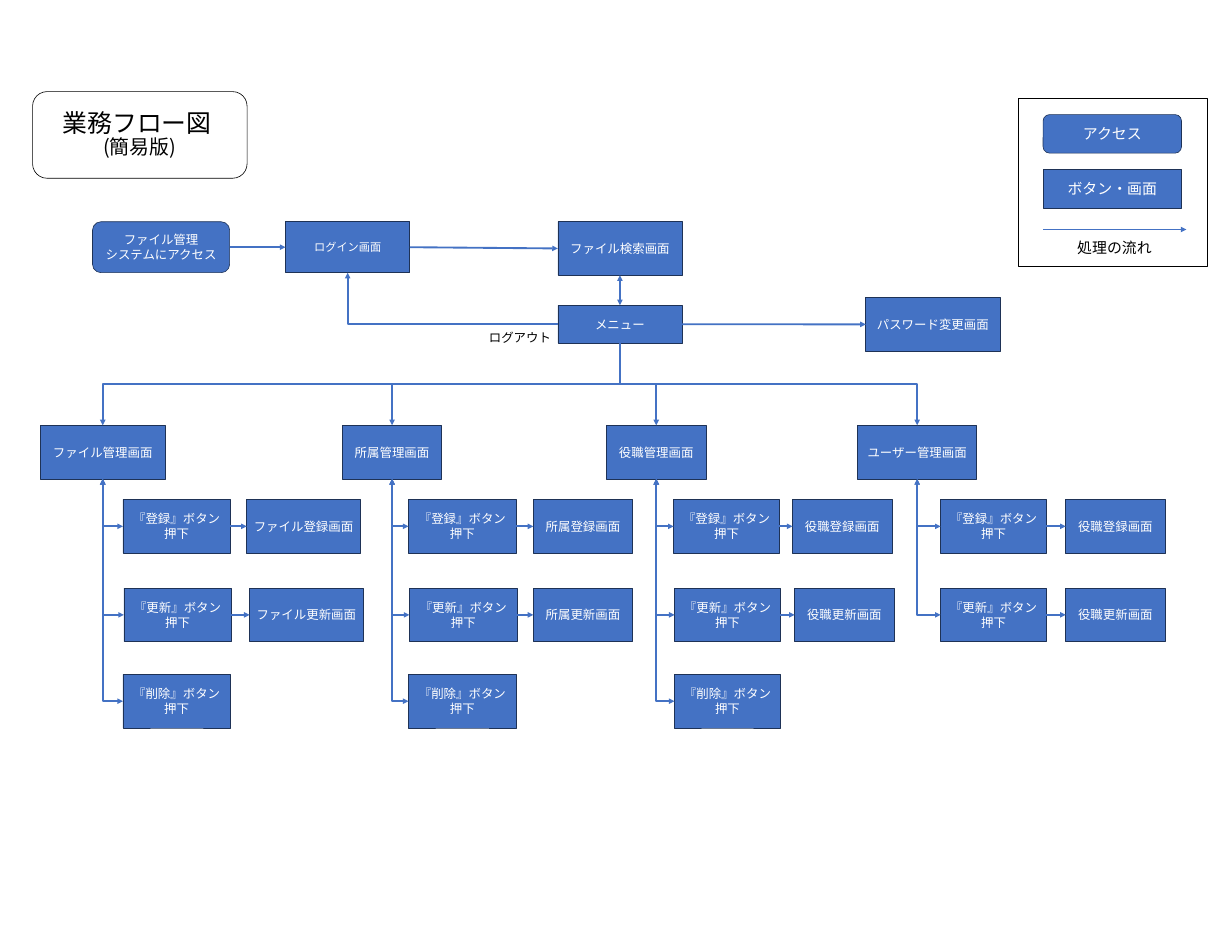
from dataclasses import dataclass
from lxml.etree import SubElement
from pptx import Presentation
from pptx.dml.color import RGBColor
from pptx.enum.shapes import MSO_CONNECTOR as Connector, MSO_SHAPE as Shape
from pptx.enum.text import MSO_ANCHOR as Anchor, MSO_AUTO_SIZE as AutoSize, PP_ALIGN as Align
from pptx.oxml.ns import qn
from pptx.util import Pt


@dataclass(frozen=True)
class Theme:
    """Colours, fonts and type sizes of the flow chart."""
    blue: RGBColor = RGBColor(0x44, 0x72, 0xC4)
    navy: RGBColor = RGBColor(0x1E, 0x32, 0x56)
    black: RGBColor = RGBColor(0, 0, 0)
    white: RGBColor = RGBColor(255, 255, 255)
    latin: str = "Calibri"
    asian: str = "Noto Sans CJK JP"
    title: int = 40
    subtitle: int = 32
    legend: int = 24
    label: int = 20
    small: int = 18


@dataclass(frozen=True)
class Box:
    """An area in points."""
    left: float
    top: float
    width: float
    height: float

    def inner(self, left, top, width, height):
        """Return an area given relative to this one."""
        return Box(self.left + left, self.top + top, width, height)

    def lengths(self):
        """Return left, top, width and height as lengths."""
        return Pt(self.left), Pt(self.top), Pt(self.width), Pt(self.height)


THEME = Theme()
TOP, LEFT, BOTTOM, RIGHT = range(4)
NODE_HEIGHT = 86.4
ROW_TOPS = (119.5, 262, 401)
BRANCHES = (
    (65.5, 200, "ファイル管理画面", 173, 183, (
        ("登録", 132.5, "ファイル登録画面", 332),
        ("更新", 134, "ファイル更新画面", 336.5),
        ("削除", 132.5, None, 0))),
    (551.5, 160, "所属管理画面", 173.5, 160, (
        ("登録", 106.5, "所属登録画面", 307.5),
        ("更新", 108, "所属更新画面", 307.5),
        ("削除", 106.5, None, 0))),
    (977, 160, "役職管理画面", 170.5, 160, (
        ("登録", 108, "役職登録画面", 299.5),
        ("更新", 109.5, "役職更新画面", 303),
        ("削除", 109.5, None, 0))),
    (1381.5, 191.5, "ユーザー管理画面", 170.5, 160, (
        ("登録", 133.5, "役職登録画面", 335),
        ("更新", 133.5, "役職更新画面", 335))),
)


def write(frame, text, sizes=(THEME.label,), color=THEME.white, font=THEME.latin,
          anchor=Anchor.MIDDLE, spacing=1.0):
    """Write centred lines of text, the last size serving all further lines."""
    frame.word_wrap = True
    frame.auto_size = AutoSize.NONE
    frame.vertical_anchor = anchor
    for index, line in enumerate(text):
        para = frame.add_paragraph() if index else frame.paragraphs[0]
        para.alignment = Align.CENTER
        para.line_spacing = spacing
        span = para.add_run()
        span.text = line
        span.font.size = Pt(sizes[min(index, len(sizes) - 1)])
        span.font.color.rgb = color
        span.font.name = font
        SubElement(span.font._element, qn("a:ea"), typeface=THEME.asian)


def add_node(page, box, *text, kind=Shape.RECTANGLE, fill=THEME.blue, line=THEME.navy,
             size=THEME.label):
    """Add an outlined shape with centred text."""
    node = page.shapes.add_shape(kind, *box.lengths())
    node.shadow.inherit = False
    node.fill.solid()
    node.fill.fore_color.rgb = fill
    node.line.color.rgb = line
    node.line.width = Pt(1)
    write(node.text_frame, text, sizes=(size,))
    return node


def add_label(page, box, text, size=THEME.label):
    """Add a black caption without a frame."""
    label = page.shapes.add_textbox(*box.lengths())
    write(label.text_frame, [text], sizes=(size,), color=THEME.black, anchor=Anchor.TOP)


def style_arrow(arrow, both=False):
    """Colour a connector and give it arrowheads."""
    arrow.line.color.rgb = THEME.blue
    arrow.line.width = Pt(3)
    line = arrow.line._get_or_add_ln()
    for end in ("a:headEnd", "a:tailEnd") if both else ("a:tailEnd",):
        SubElement(line, qn(end), type="triangle")
    SubElement(arrow._element.spPr, qn("a:effectLst"))


def link(page, start, start_site, finish, finish_site, kind=Connector.STRAIGHT, both=False):
    """Join two shapes with an arrow."""
    arrow = page.shapes.add_connector(kind, 0, 0, 0, 0)
    arrow.begin_connect(start, start_site)
    arrow.end_connect(finish, finish_site)
    style_arrow(arrow, both)
    return arrow


def link_bent(page, start, start_site, finish, finish_site, preset, both=False):
    """Join two shapes with an arrow that bends at right angles."""
    arrow = link(page, start, start_site, finish, finish_site, Connector.ELBOW, both)
    rightward = arrow.end_x > arrow.begin_x
    width, height = arrow.width, arrow.height
    middle_x, middle_y = arrow.left + width // 2, arrow.top + height // 2
    turn = 180
    if start_site == BOTTOM:
        turn = 270 if rightward else 90
        width, height = height, width
    arrow.left, arrow.top = middle_x - width // 2, middle_y - height // 2
    arrow.width, arrow.height = width, height
    properties = arrow._element.spPr
    properties.find(qn("a:prstGeom")).set("prst", preset)
    transform = properties.find(qn("a:xfrm"))
    for flip in ("flipH", "flipV"):
        transform.attrib.pop(flip, None)
    transform.set("rot", str(turn * 60000))
    if rightward:
        transform.set("flipH", "1")


def draw_title(page, box):
    """Place the title inside a rounded frame."""
    add_node(page, box, kind=Shape.ROUNDED_RECTANGLE, fill=THEME.white, line=THEME.black)
    title = page.shapes.title
    title.left, title.top, title.width, title.height = box.lengths()
    write(title.text_frame, ("業務フロー図 ", "(簡易版)"), sizes=(THEME.title, THEME.subtitle),
          color=THEME.black, font=THEME.asian, spacing=0.9)
    page.shapes._spTree.append(title._element)


def draw_legend(page, box):
    """Explain the shapes and the arrow."""
    add_node(page, box, fill=THEME.white, line=THEME.black)
    add_node(page, box.inner(40, 26.5, 223, 62), "アクセス",
             kind=Shape.ROUNDED_RECTANGLE, size=THEME.legend)
    add_node(page, box.inner(40, 115, 223, 62), "ボタン・画面", size=THEME.legend)
    left, top, width, _ = box.inner(40, 211.5, 231, 0).lengths()
    style_arrow(page.shapes.add_connector(Connector.STRAIGHT, left, top, left + width, top))
    add_label(page, box.inner(78, 222.5, 154, 36), "処理の流れ", size=THEME.legend)


def draw_entry(page, box):
    """Draw the way from access to the menu and return the menu."""
    access = add_node(page, box.inner(0, 0, 221, 82), "ファイル管理", "システムにアクセス",
                      kind=Shape.ROUNDED_RECTANGLE)
    login = add_node(page, box.inner(311, 0, 200, 82), "ログイン画面", size=THEME.small)
    search = add_node(page, box.inner(749.5, 0, 200, 86), "ファイル検索画面")
    menu = add_node(page, box.inner(749.5, 134.5, 200, 61), "メニュー")
    password = add_node(page, box.inner(1245.5, 122, 216, NODE_HEIGHT), "パスワード変更画面")
    link(page, access, RIGHT, login, LEFT)
    link(page, login, RIGHT, search, LEFT)
    link(page, menu, TOP, search, BOTTOM, both=True)
    link(page, menu, RIGHT, password, LEFT)
    link_bent(page, menu, LEFT, login, BOTTOM, "bentConnector2")
    add_label(page, box.inner(625, 171, 127, 32), "ログアウト")
    return menu


def draw_branch(page, box, menu, name, button_width, screen_width, rows):
    """Draw a management screen, whose node is the box, with its buttons and screens."""
    head = add_node(page, box, name)
    link_bent(page, menu, BOTTOM, head, TOP, "bentConnector3")
    for top, (action, button_left, screen_name, screen_left) in zip(ROW_TOPS, rows):
        button = add_node(page, box.inner(button_left, top, button_width, NODE_HEIGHT),
                          f"『{action}』ボタン押下")
        link_bent(page, head, BOTTOM, button, LEFT, "bentConnector2", both=True)
        if screen_name:
            screen = add_node(page, box.inner(screen_left, top, screen_width, NODE_HEIGHT),
                              screen_name)
            link(page, button, RIGHT, screen, LEFT)


def main():
    """Build the flow chart and save it."""
    deck = Presentation()
    deck.slide_width, deck.slide_height = Pt(1984.32), Pt(1527.84)
    page = deck.slides.add_slide(deck.slide_layouts[5])
    draw_title(page, Box(52.5, 147.5, 345.5, 139.5))
    draw_legend(page, Box(1640, 158, 304.5, 271.5))
    menu = draw_entry(page, Box(149, 357, 1461.5, 208.4))
    for left, width, *details in BRANCHES:
        draw_branch(page, Box(left, 684.7, width, NODE_HEIGHT), menu, *details)
    deck.save("out.pptx")


if __name__ == "__main__":
    main()
